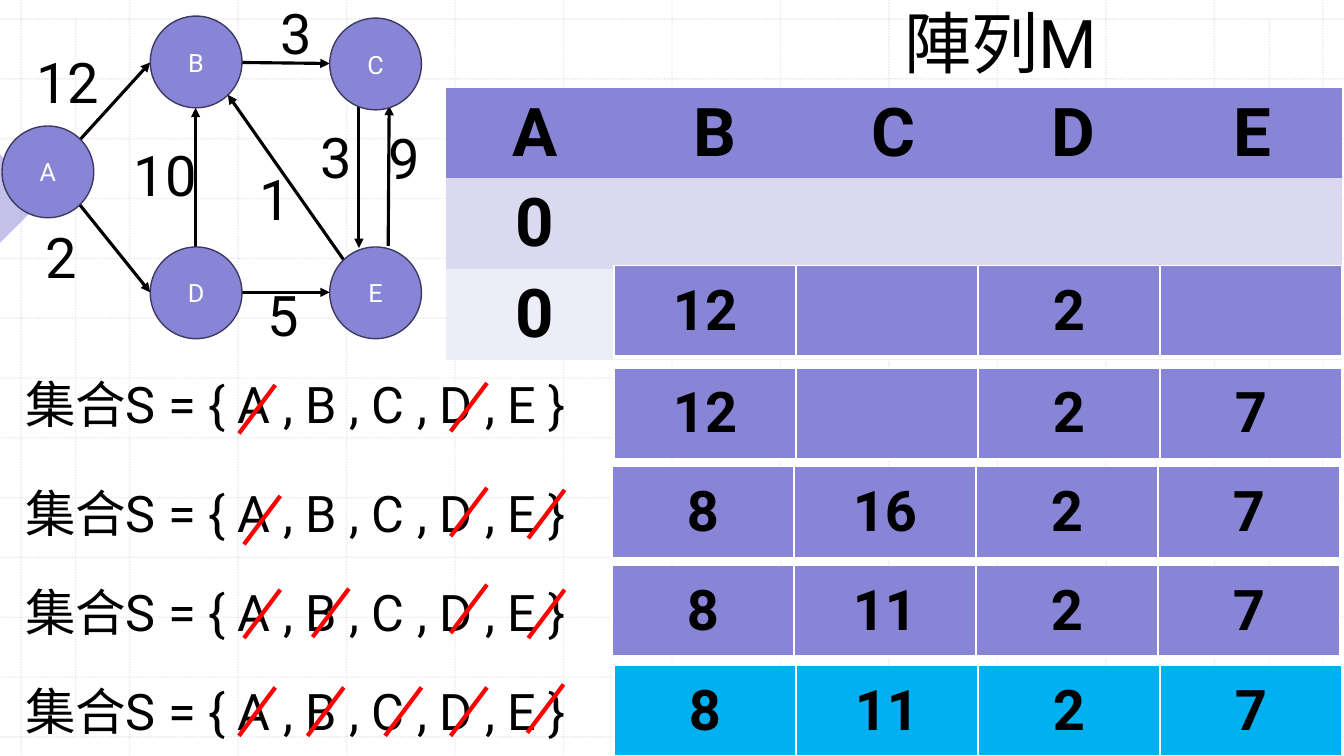
import pptx
import pptx.util
import pptx.dml.color
import pptx.enum.dml
import pptx.enum.shapes
import pptx.enum.text
import pptx.oxml
import pptx.oxml.ns
from pptx.util import Inches

FONT = "Roboto"
PURPLE, BLUE, BLACK, WHITE, RED = "8885D7", "00B0F0", "000000", "FFFFFF", "FF0000"
NO_STYLE = "{2D5ABB26-0587-4C30-8999-92F81FD0307C}"
SHAPE = pptx.enum.shapes.MSO_SHAPE
CENTER = pptx.enum.text.PP_ALIGN.CENTER
MIDDLE = pptx.enum.text.MSO_ANCHOR.MIDDLE
NODE_SIZE = 0.91
SET_TEXT = "集合S = { A , B , C , D , E }"

# Graph: node corners, arrows (from, to), weights (text, left, top, width)
NODES = {"A": (0.02, 1.25), "B": (1.49, 0.16), "C": (3.27, 0.18),
         "D": (1.49, 2.45), "E": (3.27, 2.45)}
ARROWS = [
    (0.79, 1.39, 1.49, 0.62), (0.79, 2.03, 1.49, 2.9), (1.94, 2.45, 1.94, 1.07),
    (2.4, 2.9, 3.27, 2.9), (3.41, 2.58, 2.26, 0.94), (3.85, 2.44, 3.86, 1.05),
    (2.39, 0.62, 3.27, 0.63), (3.56, 1.05, 3.56, 2.46),
]
WEIGHTS = [
    ("2", 0.35, 2.16, 0.53), ("12", 0.26, 0.42, 1.04), ("5", 2.56, 2.73, 1.04),
    ("1", 2.48, 1.58, 0.54), ("3", 3.08, 1.17, 1.69), ("9", 3.75, 1.18, 1.69),
    ("3", 2.68, -0.06, 1.69), ("10", 1.23, 1.34, 0.86),
]

# Steps of the algorithm: left, top, fill, values of B to E
STEPS = [
    (6.09, 2.63, PURPLE, ["12", "", "2", ""]),
    (6.09, 3.65, PURPLE, ["12", "", "2", "7"]),
    (6.07, 4.63, PURPLE, ["8", "16", "2", "7"]),
    (6.07, 5.61, PURPLE, ["8", "11", "2", "7"]),
    (6.09, 6.6, BLUE, ["8", "11", "2", "7"]),
]
# Sets: top of the text, lower left ends of the strikes
SETS = [
    (3.65, [(2.37, 4.3), (4.47, 4.28)]),
    (4.73, [(2.42, 5.4), (4.47, 5.32), (5.24, 5.34)]),
    (5.72, [(2.42, 6.33), (3.1, 6.32), (4.47, 6.28), (5.24, 6.33)]),
    (6.7, [(2.37, 7.3), (3.05, 7.3), (3.82, 7.3), (4.47, 7.3), (5.23, 7.27)]),
]


def color(value):
    return pptx.dml.color.RGBColor.from_string(value)


def add_xml(parent, tag, **attributes):
    element = pptx.oxml.parse_xml(f"<a:{tag} {pptx.oxml.ns.nsdecls('a')}/>")
    for name, value in attributes.items():
        element.set(name, str(value))
    parent.append(element)
    return element


def set_alpha(shape_format, percent):
    """Make the solid colour inside a fill or line element transparent."""
    rgb = next(shape_format.iter(pptx.oxml.ns.qn("a:srgbClr")))
    add_xml(rgb, "alpha", val=percent * 1000)


def write(frame, text, size, font_color=BLACK, bold=False, align=None):
    frame.text = text
    para = frame.paragraphs[0]
    para.alignment = align
    para.font.name = FONT
    para.font.size = pptx.util.Pt(size)
    para.font.bold = bold
    para.font.color.rgb = color(font_color)


def add_text(page, text, left, top, width, height, size):
    box = page.shapes.add_textbox(Inches(left), Inches(top), Inches(width), Inches(height))
    box.text_frame.word_wrap = True
    write(box.text_frame, text, size)


def add_line(page, x1, y1, x2, y2, line_color, width):
    line = page.shapes.add_connector(
        pptx.enum.shapes.MSO_CONNECTOR.STRAIGHT,
        Inches(x1), Inches(y1), Inches(x2), Inches(y2))
    line.line.color.rgb = color(line_color)
    line.line.width = pptx.util.Pt(width)
    add_xml(line._element.spPr, "effectLst")
    return line


def add_arrow(page, ends):
    arrow = add_line(page, *ends, BLACK, 2.25)
    add_xml(arrow.line._get_or_add_ln(), "tailEnd", type="triangle")


def add_grid_line(page, x1, y1, x2, y2):
    line = add_line(page, x1, y1, x2, y2, "BCBCBC", 1)
    line.line.dash_style = pptx.enum.dml.MSO_LINE.ROUND_DOT
    set_alpha(line._element.spPr, 30)


def add_node(page, name, left, top):
    node = page.shapes.add_shape(
        SHAPE.OVAL, Inches(left), Inches(top), Inches(NODE_SIZE), Inches(NODE_SIZE))
    node.shadow.inherit = False
    node.fill.solid()
    node.fill.fore_color.rgb = color(PURPLE)
    node.line.color.rgb = color("3C3A5E")
    node.line.width = pptx.util.Pt(1)
    node.text_frame.vertical_anchor = MIDDLE
    write(node.text_frame, name, 18, WHITE, align=CENTER)


def add_borders(cell):
    properties = cell._tc.get_or_add_tcPr()
    for index, (tag, width) in enumerate([("lnL", 1), ("lnR", 1), ("lnT", 1), ("lnB", 3)]):
        border = add_xml(properties, tag, w=pptx.util.Pt(width))
        add_xml(add_xml(border, "solidFill"), "srgbClr", val=WHITE)
        properties.insert(index, border)


def add_values(page, rows, fills, left, top, width, height, size, borders=False):
    frame = page.shapes.add_table(
        len(rows), len(rows[0]), Inches(left), Inches(top), Inches(width), Inches(height))
    table = frame.table
    table.first_row = table.horz_banding = False
    table._tbl.tblPr.find(pptx.oxml.ns.qn("a:tableStyleId")).text = NO_STYLE
    for r, values in enumerate(rows):
        for c, value in enumerate(values):
            cell = table.cell(r, c)
            cell.fill.solid()
            cell.fill.fore_color.rgb = color(fills[r])
            cell.vertical_anchor = MIDDLE
            if value:
                write(cell.text_frame, value, size, bold=True, align=CENTER)
            if borders:
                add_borders(cell)


def add_background(page):
    for i in range(13):
        x, y = 0.21 + i * 12.91 / 12, 0.19 + i * 7.12 / 12
        add_grid_line(page, x, 0, x, 7.5)
        add_grid_line(page, 0, y, 13.33, y)
    for x in (0.75, 12.59):
        add_grid_line(page, x, 0.19, x, 7.31)
    corner = page.shapes.add_shape(
        SHAPE.RIGHT_TRIANGLE, Inches(-0.31), Inches(1.66), Inches(0.62), Inches(0.62))
    corner.rotation = 225
    corner.shadow.inherit = False
    corner.fill.solid()
    corner.fill.fore_color.rgb = color(PURPLE)
    set_alpha(corner._element.spPr, 50)
    corner.line.fill.background()


def place_title(page, text):
    title = page.shapes.title
    title.left, title.top = Inches(8.87), Inches(-0.04)
    title.width, title.height = Inches(2.29), Inches(0.91)
    title.text_frame.word_wrap = True
    title.text_frame.auto_size = pptx.enum.text.MSO_AUTO_SIZE.NONE
    title.text_frame.vertical_anchor = pptx.enum.text.MSO_ANCHOR.TOP
    write(title.text_frame, text, 48, align=pptx.enum.text.PP_ALIGN.LEFT)
    # Bring the title in front of the grid
    title._element.getparent().append(title._element)


def main():
    deck = pptx.Presentation()
    deck.slide_width, deck.slide_height = Inches(13.33), Inches(7.5)
    page = deck.slides.add_slide(deck.slide_layouts[5])
    add_background(page)
    place_title(page, "陣列M")

    # Array M
    add_values(page, [list("ABCDE"), ["0"] + [""] * 4, ["0"] + [""] * 4],
               [PURPLE, "DAD9F0", "EDEDF8"], 4.42, 0.87, 8.89, 2.7, 48)
    for left, top, fill, values in STEPS:
        add_values(page, [values], [fill], left, top, 7.22, 0.91, 40, borders=True)

    # Graph
    for text, left, top, width in WEIGHTS:
        add_text(page, text, left, top, width, 0.77, 40)
    for ends in ARROWS:
        add_arrow(page, ends)
    for name, (left, top) in NODES.items():
        add_node(page, name, left, top)

    # Sets with their visited nodes struck out
    for top, strikes in SETS:
        add_text(page, SET_TEXT, 0.15, top, 5.86, 0.71, 36)
        for x, y in strikes:
            add_line(page, x, y, x + 0.36, y - 0.48, RED, 3)

    deck.save("out.pptx")


if __name__ == "__main__":
    main()
